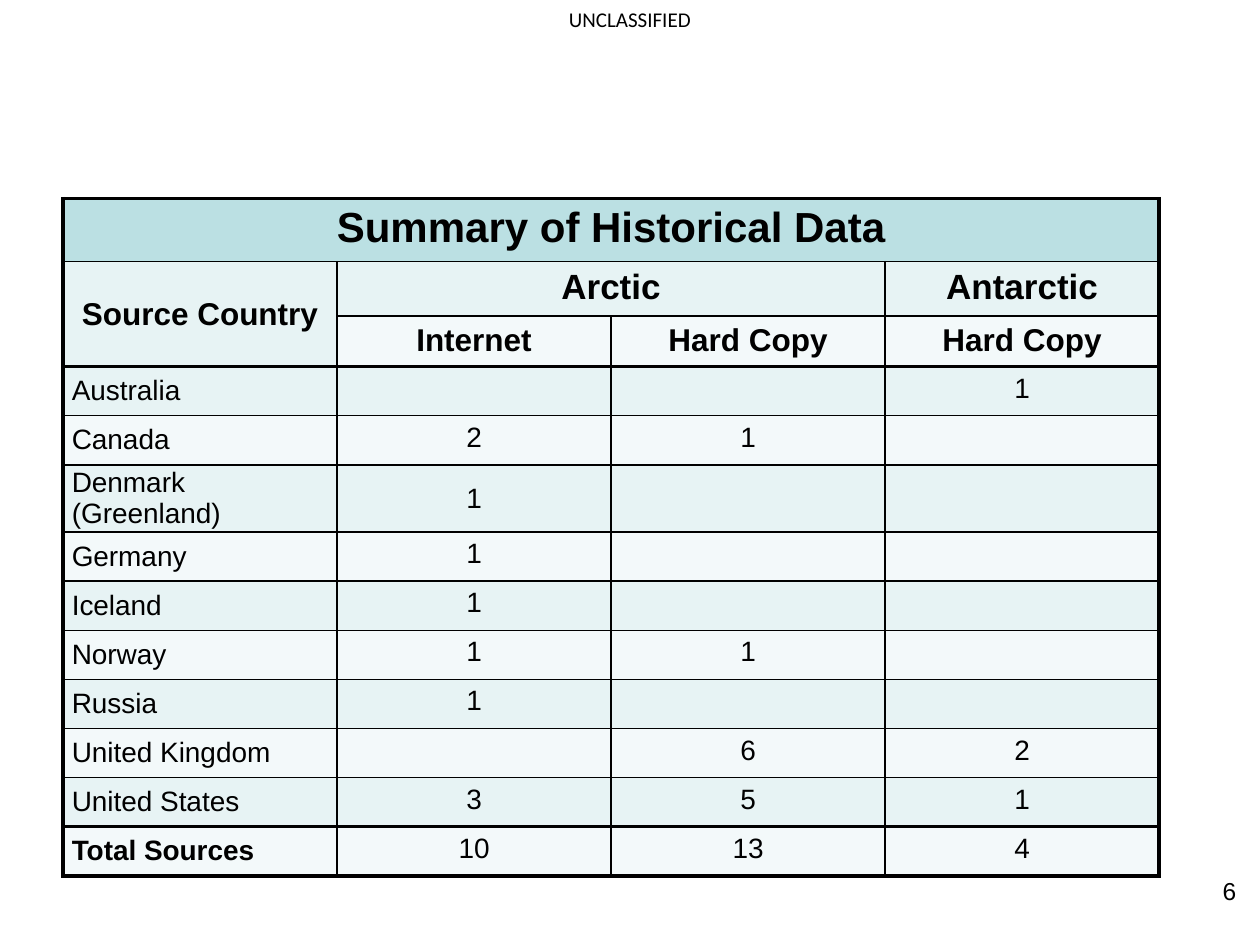
from dataclasses import dataclass

from lxml import etree
from pptx import Presentation
from pptx import util as u
from pptx.dml.color import RGBColor
from pptx.enum import text
from pptx.oxml.ns import qn

W, H = 10, 7.5
ROWS, COLS = 13, 4
ROW_H = 0.39
INK, TITLE_FILL, BANDS = "000000", "BBE0E3", ("F3F9FA", "E7F3F4")
THIN, THICK = 1, 2.25
HEAVY_ROWS, HEAVY_COLS = (0, 3, 12, 13), (0, 4)  # grid lines drawn thick
LEFT, CENTER, RIGHT = text.PP_ALIGN.LEFT, text.PP_ALIGN.CENTER, text.PP_ALIGN.RIGHT


@dataclass
class Heading:
    label: str
    row: int
    col: int
    size: int
    rows: int = 1
    cols: int = 1


@dataclass
class Label:
    label: str
    box: tuple  # left, top, width, height as shares of the slide
    size: int
    font: str
    align: text.PP_ALIGN


HEADINGS = [
    Heading("Summary of Historical Data", 0, 0, 24, cols=4),
    Heading("Source Country", 1, 0, 18, rows=2),
    Heading("Arctic", 1, 1, 20, cols=2),
    Heading("Antarctic", 1, 3, 20),
    Heading("Internet", 2, 1, 18),
    Heading("Hard Copy", 2, 2, 18),
    Heading("Hard Copy", 2, 3, 18),
]
SOURCES = [
    ("Australia", "", "", "1"),
    ("Canada", "2", "1", ""),
    ("Denmark (Greenland)", "1", "", ""),
    ("Germany", "1", "", ""),
    ("Iceland", "1", "", ""),
    ("Norway", "1", "1", ""),
    ("Russia", "1", "", ""),
    ("United Kingdom", "", "6", "2"),
    ("United States", "3", "5", "1"),
    ("Total Sources", "10", "13", "4"),
]
LABELS = [
    Label("6", (0.758, 0.92, 0.233, 0.07), 14, "Arial", RIGHT),
    Label("UNCLASSIFIED", (0, 0, 1, 0.04), 12, "Calibri", CENTER),
]


def color(value: str) -> RGBColor:
    return RGBColor.from_string(value)


def write(tf, label: str, size: int, align, font: str = "Arial", bold: bool = False) -> None:
    p = tf.paragraphs[0]
    p.text = label
    p.alignment = align
    for r in p.runs:
        r.font.name, r.font.size, r.font.bold = font, u.Pt(size), bold
        r.font.color.rgb = color(INK)
    if not label:  # keeps empty rows as low as the filled ones
        p._p.get_or_add_endParaRPr().set("sz", str(size * 100))


def add_label(s, item: Label) -> None:
    x, y, w, h = item.box
    sp = s.shapes.add_textbox(u.Inches(x * W), u.Inches(y * H), u.Inches(w * W), u.Inches(h * H))
    sp.text_frame.word_wrap = True
    write(sp.text_frame, item.label, item.size, item.align, item.font)


def add_borders(cell, row: int, col: int, rows: int, cols: int) -> None:
    edges = {
        "a:lnL": col in HEAVY_COLS,
        "a:lnR": col + cols in HEAVY_COLS,
        "a:lnT": row in HEAVY_ROWS,
        "a:lnB": row + rows in HEAVY_ROWS,
    }
    tc_pr = cell._tc.get_or_add_tcPr()
    for tag, heavy in edges.items():
        ln = etree.SubElement(tc_pr, qn(tag), w=str(u.Pt(THICK if heavy else THIN)))
        fill = etree.SubElement(ln, qn("a:solidFill"))
        etree.SubElement(fill, qn("a:srgbClr"), val=INK)


def add_summary(s) -> None:
    frame = s.shapes.add_table(ROWS, COLS, u.Inches(0.05 * W), u.Inches(0.21 * H),
                               u.Inches(0.87 * W), u.Inches(ROWS * ROW_H))
    table = frame.table
    table.first_row = table.horz_banding = False

    # Headings, merged where they span the grid
    for h in HEADINGS:
        cell = table.cell(h.row, h.col)
        if h.rows * h.cols > 1:
            cell.merge(table.cell(h.row + h.rows - 1, h.col + h.cols - 1))
        if h.rows > 1:
            cell.vertical_anchor = text.MSO_ANCHOR.MIDDLE
        write(cell.text_frame, h.label, h.size, CENTER, bold=True)

    # Countries and counts
    for row, values in enumerate(SOURCES, start=3):
        for col, value in enumerate(values):
            cell = table.cell(row, col)
            if col == 0:
                cell.margin_left = cell.margin_right = u.Inches(0.07)
                cell.margin_top = cell.margin_bottom = 0
            if col == 0 or values[0].startswith("Denmark"):
                cell.vertical_anchor = text.MSO_ANCHOR.MIDDLE
            write(cell.text_frame, value, 16, LEFT if col == 0 else CENTER,
                  bold=value == "Total Sources")

    # Borders and banded fills
    for row in range(ROWS):
        for col in range(COLS):
            cell = table.cell(row, col)
            rows, cols = (cell.span_height, cell.span_width) if cell.is_merge_origin else (1, 1)
            add_borders(cell, row, col, rows, cols)
            cell.fill.solid()
            cell.fill.fore_color.rgb = color(BANDS[row % 2] if row else TITLE_FILL)


def main() -> None:
    prs = Presentation()
    prs.slide_width, prs.slide_height = u.Inches(W), u.Inches(H)
    s = prs.slides.add_slide(prs.slide_layouts[6])
    for item in LABELS:
        add_label(s, item)
    add_summary(s)
    prs.save("out.pptx")


if __name__ == "__main__":
    main()
